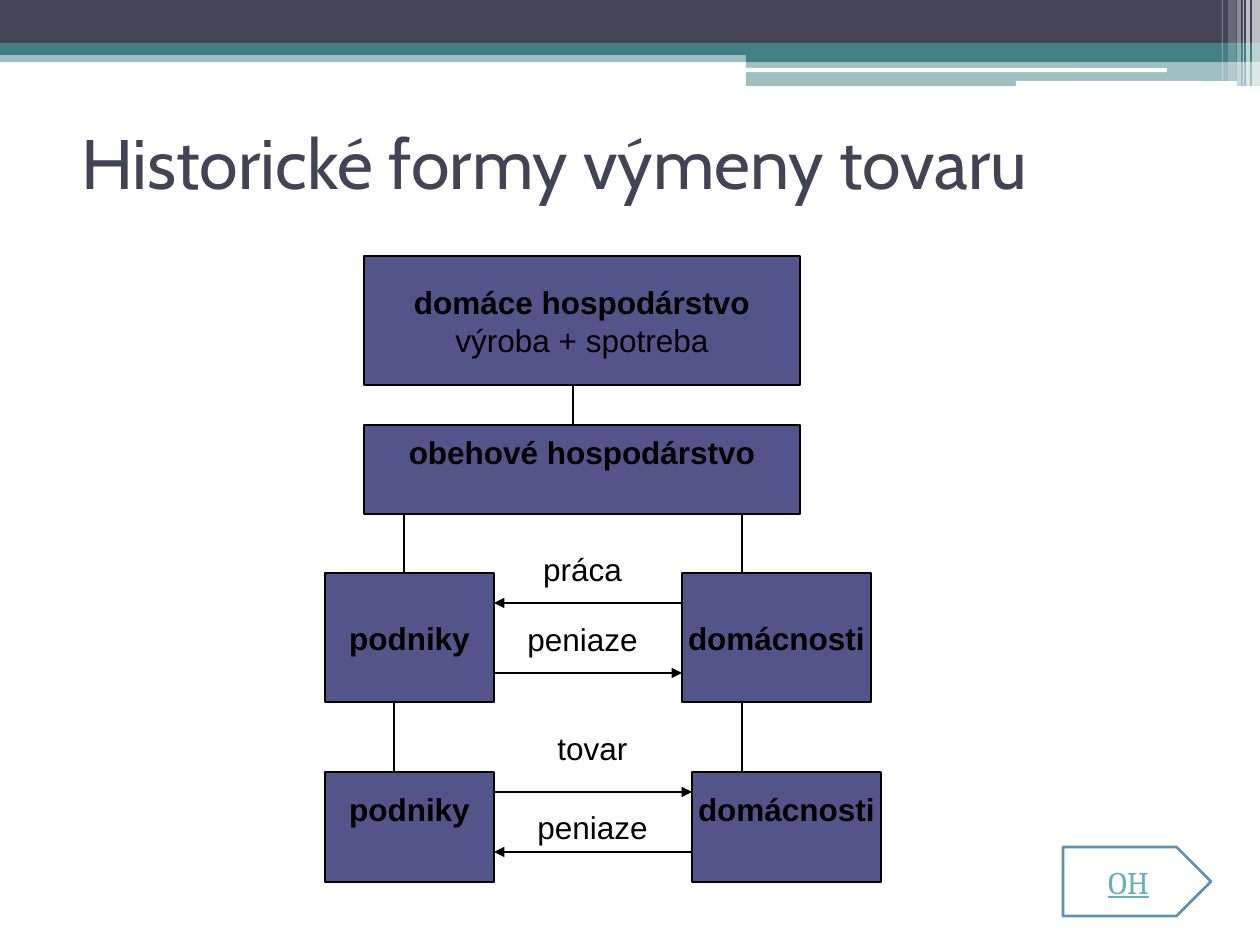
import pptx
import pptx.util
import pptx.dml.color
import pptx.enum.shapes
import pptx.enum.text
import pptx.oxml.ns
from dataclasses import dataclass
from lxml import etree

MSO = pptx.enum.shapes.MSO_SHAPE
ANCHOR = pptx.enum.text.MSO_ANCHOR
ALIGN = pptx.enum.text.PP_ALIGN
qn = pptx.oxml.ns.qn


@dataclass(frozen=True)
class Theme:
    navy: str = "424456"
    teal: str = "438086"
    white: str = "FFFFFF"
    black: str = "000000"
    box: str = "53548A"
    button: str = "5C92B5"
    link: str = "67AFBD"
    title_font: str = "Cabin"
    body_font: str = "Arial"
    button_font: str = "Cambria"
    title_size: int = 40
    body_size: int = 18
    thin: float = 0.75
    thick: float = 1.5


T = Theme()


def px(n):
    return pptx.util.Emu(round(n * 914400 / 126))


def rgb(color):
    return pptx.dml.color.RGBColor.from_string(color)


def add_box(s, x, y, w, h, fill, kind=MSO.RECTANGLE, alpha=100, line=None, width=T.thin):
    sp = s.shapes.add_shape(kind, px(x), px(y), px(w), px(h))
    sp.shadow.inherit = False
    sp.fill.solid()
    sp.fill.fore_color.rgb = rgb(fill)
    if alpha < 100:
        color = sp.fill._xPr.find(qn("a:solidFill"))[0]
        etree.SubElement(color, qn("a:alpha")).set("val", str(alpha * 1000))
    if line:
        sp.line.color.rgb = rgb(line)
        sp.line.width = pptx.util.Pt(width)
    else:
        sp.line.fill.background()
    return sp


def add_line(s, x1, y1, x2, y2, arrow=False):
    c = s.shapes.add_connector(pptx.enum.shapes.MSO_CONNECTOR.STRAIGHT,
                               px(x1), px(y1), px(x2), px(y2))
    c.line.color.rgb = rgb(T.black)
    c.line.width = pptx.util.Pt(T.thin)
    if arrow:
        etree.SubElement(c.line._get_or_add_ln(), qn("a:tailEnd")).set("type", "triangle")
    etree.SubElement(c._element.spPr, qn("a:effectLst"))


def add_text(sp, lines, size=T.body_size, font=T.body_font, color=T.black,
             align=ALIGN.CENTER, anchor=ANCHOR.MIDDLE, wrap=True, underline=False):
    """Write (text, bold) lines, one paragraph each."""
    tf = sp.text_frame
    tf.word_wrap = wrap
    tf.vertical_anchor = anchor
    for i, (text, bold) in enumerate(lines):
        p = tf.paragraphs[0] if i == 0 else tf.add_paragraph()
        p.alignment = align
        r = p.add_run()
        r.text = text
        r.font.size = pptx.util.Pt(size)
        r.font.name = font
        r.font.bold = bold
        r.font.underline = underline
        r.font.color.rgb = rgb(color)


def add_header(s, x, y, w):
    # Bands: left, top, width, height, colour, opacity
    half = w - 746
    for bx, by, bw, bh, color, alpha in [
        (0, 50, w, 12, T.teal, 50),
        (0, 0, w, 43, T.navy, 100),
        (0, 43, w, 12, T.teal, 100),
        (746, 49, half, 13, T.teal, 100),
        (746, 61, half, 25, T.teal, 50),
    ]:
        add_box(s, x + bx, y + by, bw, bh, color, alpha=alpha)
    # White rounded bars
    for bx, by, bw, bh in [(745, 68, 422, 4), (1016, 81, 221, 5)]:
        add_box(s, x + bx, y + by, bw, bh, T.white, MSO.ROUNDED_RECTANGLE)
    # Translucent stripes at the right edge
    for bx, bw, bh, alpha in [(1252, 8, 86, 65), (1246, 4, 86, 65), (1243, 1, 86, 60),
                              (1237, 4, 86, 40), (1228, 8, 81, 20), (1222, 1, 81, 30)]:
        add_box(s, x + bx, y, bw, bh, T.white, alpha=alpha)


def add_title(s, x, y, w, h):
    sp = s.shapes.add_textbox(px(x), px(y), px(w), px(h))
    add_text(sp, [("Historické formy výmeny tovaru", False)], T.title_size,
             T.title_font, T.navy, ALIGN.LEFT)


def add_diagram(s, x, y):
    # Boxes; lift is the extra bottom inset that raises the text
    for bx, by, w, h, lift, lines in [
        (39, 0, 436, 129, 0, [("domáce hospodárstvo", True), ("výroba + spotreba", False)]),
        (39, 169, 436, 89, 36, [("obehové hospodárstvo", True)]),
        (0, 317, 169, 129, 0, [("podniky", True)]),
        (357, 317, 189, 129, 0, [("domácnosti", True)]),
        (0, 516, 169, 110, 36, [("podniky", True)]),
        (367, 516, 189, 110, 36, [("domácnosti", True)]),
    ]:
        sp = add_box(s, x + bx, y + by, w, h, T.box, line=T.black)
        add_text(sp, lines, wrap=False)
        sp.text_frame.margin_bottom = px(6 + lift)
    # Vertical links
    for lx, top, bottom in [(248, 129, 169), (79, 258, 317), (417, 258, 317),
                            (69, 446, 516), (417, 446, 516)]:
        add_line(s, x + lx, y + top, x + lx, y + bottom)
    # Flows between firms and households
    for start, end, ly in [(357, 169, 347), (169, 357, 417),
                           (169, 367, 536), (367, 169, 596)]:
        add_line(s, x + start, y + ly, x + end, y + ly, arrow=True)
    # Flow labels
    for lx, ly, text in [(188, 288, "práca"), (188, 358, "peniaze"),
                         (198, 467, "tovar"), (198, 546, "peniaze")]:
        sp = s.shapes.add_textbox(px(x + lx), px(y + ly), px(139), px(50))
        add_text(sp, [(text, False)], anchor=ANCHOR.TOP)


def add_button(s, x, y, w, h):
    sp = add_box(s, x, y, w, h, T.white, MSO.PENTAGON, line=T.button, width=T.thick)
    add_text(sp, [("OH", False)], font=T.button_font, color=T.link, underline=True)


def main():
    prs = pptx.Presentation()
    prs.slide_width, prs.slide_height = px(1260), px(945)
    s = prs.slides.add_slide(prs.slide_layouts[6])
    add_header(s, 0, 0, 1260)
    add_title(s, 69, 88, 1134, 147)
    add_diagram(s, 325, 256)
    add_button(s, 1063, 847, 148, 69)
    prs.save("out.pptx")


if __name__ == "__main__":
    main()
